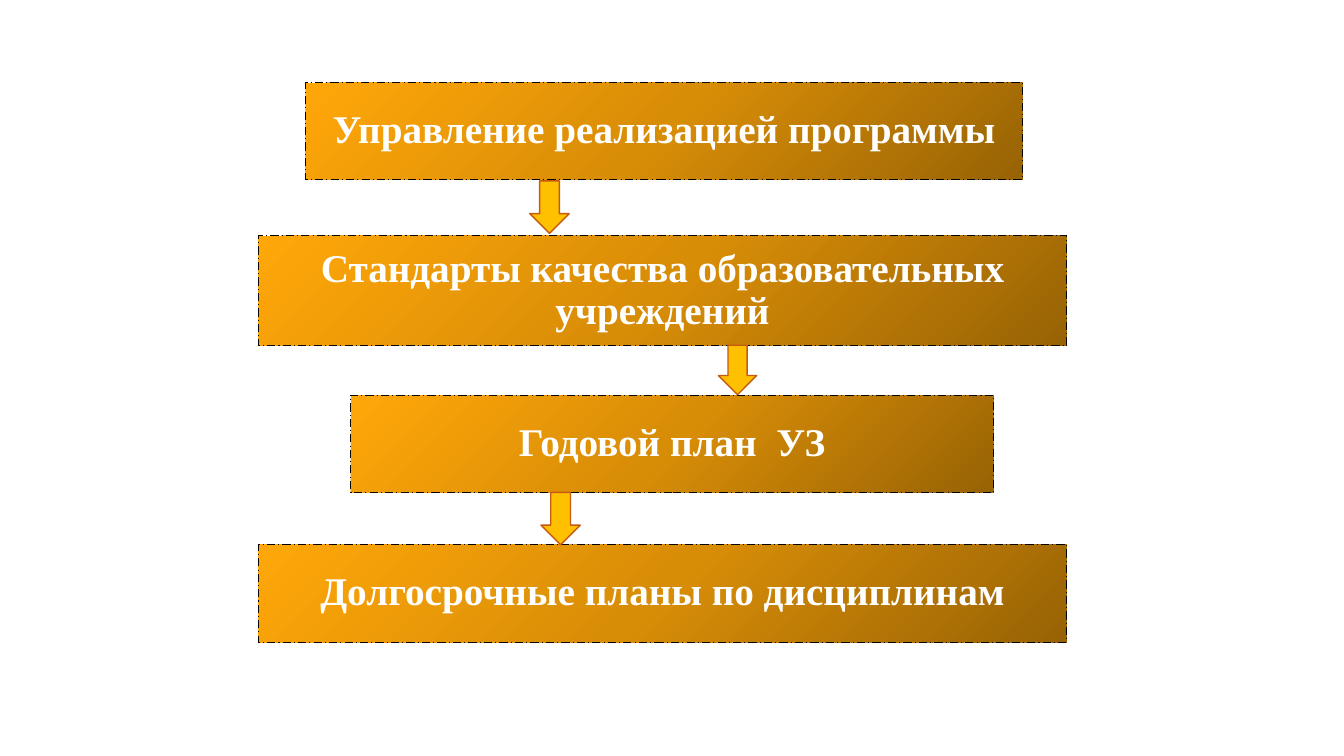
import pptx
import pptx.dml.color
import pptx.enum.dml
import pptx.enum.shapes
import pptx.enum.text
import pptx.oxml
import pptx.oxml.ns
import pptx.util
from dataclasses import dataclass

Inches = pptx.util.Inches
Pt = pptx.util.Pt
Shape = pptx.enum.shapes.MSO_SHAPE


@dataclass(frozen=True)
class Theme:
    font: str = "Times New Roman"
    size: int = 28
    text: str = "FFFFFF"
    edge: str = "000000"
    edge_width: float = 0.75
    arrow: str = "FFC000"
    rim: str = "C55A11"
    rim_width: float = 1
    stops: tuple = ((0, "986305"), (50, "D88D07"), (100, "FFA709"))
    inset: float = 0.17


THEME = Theme()

# Each step: text, left, top, width, height
STEPS = (
    ("Управление реализацией программы", 3.03, 0.82, 7.11, 0.96),
    ("Стандарты качества образовательных учреждений", 2.56, 2.34, 8.02, 1.09),
    ("Годовой план  УЗ", 3.48, 3.92, 6.37, 0.97),
    ("Долгосрочные планы по дисциплинам", 2.56, 5.4, 8.02, 0.97),
)

# Each arrow before its quarter turn: left, top, length, breadth
ARROWS = (
    (5.19, 1.86, 0.52, 0.39),
    (7.07, 3.48, 0.49, 0.38),
    (5.3, 4.95, 0.52, 0.39),
)


def color(code):
    return pptx.dml.color.RGBColor.from_string(code)


def add_block(slide, kind, left, top, width, height):
    shape = slide.shapes.add_shape(
        kind, Inches(left), Inches(top), Inches(width), Inches(height))
    shape.shadow.inherit = False
    return shape


def set_line(shape, code, width):
    shape.line.color.rgb = color(code)
    shape.line.width = Pt(width)


def set_glow(shape):
    """Fill with a gradient that spreads from the lower right corner."""
    stops = "".join(
        f'<a:gs pos="{pos * 1000}"><a:srgbClr val="{code}"/></a:gs>'
        for pos, code in THEME.stops)
    grad = pptx.oxml.parse_xml(
        f'<a:gradFill {pptx.oxml.ns.nsdecls("a")} rotWithShape="1">'
        f'<a:gsLst>{stops}</a:gsLst><a:path path="circle">'
        '<a:fillToRect l="100000" t="100000"/></a:path></a:gradFill>')
    shape.fill.gradient()
    props = shape.element.spPr
    props.replace(props.find(pptx.oxml.ns.qn("a:gradFill")), grad)


def add_text(shape, text):
    frame = shape.text_frame
    frame.word_wrap = True
    frame.vertical_anchor = pptx.enum.text.MSO_ANCHOR.MIDDLE
    for side in ("left", "top", "right", "bottom"):
        setattr(frame, f"margin_{side}", Inches(THEME.inset))
    para = frame.paragraphs[0]
    para.alignment = pptx.enum.text.PP_ALIGN.CENTER
    para.line_spacing = 0.9
    # Space after as a share of the line height
    para.space_after = Pt(0)
    after = para._p.pPr.find(pptx.oxml.ns.qn("a:spcAft"))
    after.replace(after[0], pptx.oxml.parse_xml(
        f'<a:spcPct {pptx.oxml.ns.nsdecls("a")} val="35000"/>'))
    run = para.add_run()
    run.text = text
    run.font.name = THEME.font
    run.font.size = Pt(THEME.size)
    run.font.bold = True
    run.font.color.rgb = color(THEME.text)


def add_step(slide, text, *place):
    box = add_block(slide, Shape.RECTANGLE, *place)
    set_glow(box)
    set_line(box, THEME.edge, THEME.edge_width)
    box.line.dash_style = pptx.enum.dml.MSO_LINE.LONG_DASH_DOT
    add_text(box, text)


def add_arrow(slide, *place):
    arrow = add_block(slide, Shape.RIGHT_ARROW, *place)
    arrow.rotation = 90
    arrow.fill.solid()
    arrow.fill.fore_color.rgb = color(THEME.arrow)
    set_line(arrow, THEME.rim, THEME.rim_width)


def main():
    deck = pptx.Presentation()
    deck.slide_width = Inches(13.33)
    deck.slide_height = Inches(7.5)
    slide = deck.slides.add_slide(deck.slide_layouts[6])
    # Steps of the programme
    for step in STEPS:
        add_step(slide, *step)
    # Arrows between the steps
    for arrow in ARROWS:
        add_arrow(slide, *arrow)
    deck.save("out.pptx")


if __name__ == "__main__":
    main()
